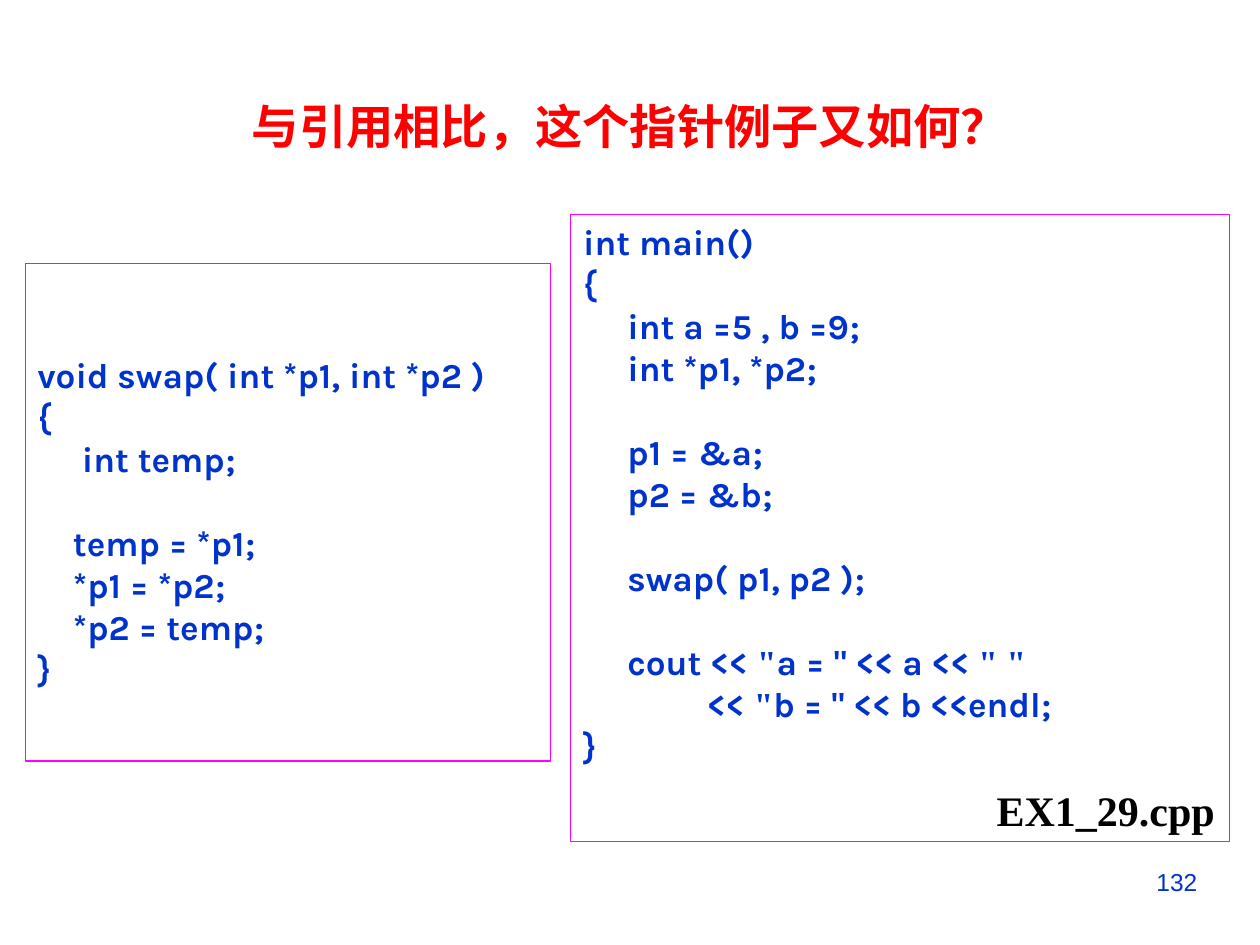
from lxml import etree
from pptx import Presentation
from pptx.dml.color import RGBColor
from pptx.enum import shapes, text
from pptx.oxml.ns import qn
from pptx.util import Inches, Pt

CODE_SIZE = 20
LINE_HEIGHT = 24
CODE_FONT = "Karla"
QUOTE_FONT = "Times New Roman"
BLUE = "0033CC"

# A None entry is an empty line; a list is a line split at font changes,
# its odd parts being set in QUOTE_FONT.
SWAP_CODE = [
    "void swap( int *p1, int *p2 )",
    "{",
    "     int temp;",
    None,
    "    temp = *p1;",
    "    *p1 = *p2;",
    "    *p2 = temp;",
    "}",
]
MAIN_CODE = [
    "int main()",
    "{",
    "     int a =5 , b =9;",
    "     int *p1, *p2;",
    None,
    "     p1 = &a;",
    "     p2 = &b;",
    None,
    "     swap( p1, p2 );",
    None,
    ["     cout << ", '"', 'a = " << a << ', '" "'],
    ["              << ", '"', 'b = " << b <<endl;'],
    "}",
]


def color(hex_value):
    return RGBColor.from_string(hex_value)


def style(paragraph, size, name, hex_value, bold=False):
    font = paragraph.font
    font.size, font.name, font.bold = Pt(size), name, bold
    font.color.rgb = color(hex_value)
    # East Asian glyphs take their typeface from a separate element
    defaults = paragraph._p.pPr.find(qn("a:defRPr"))
    etree.SubElement(defaults, qn("a:ea")).set("typeface", name)


def add_label(slide, box, wording, size, name, hex_value, bold=False,
              align=text.PP_ALIGN.LEFT, wrap=True):
    frame = slide.shapes.add_textbox(*map(Inches, box)).text_frame
    frame.word_wrap = wrap
    frame.vertical_anchor = text.MSO_ANCHOR.MIDDLE
    paragraph = frame.paragraphs[0]
    paragraph.text = wording
    paragraph.alignment = align
    style(paragraph, size, name, hex_value, bold)


def add_code_box(slide, box, lines, top_inset=0.05):
    panel = slide.shapes.add_shape(shapes.MSO_SHAPE.RECTANGLE, *map(Inches, box))
    panel.shadow.inherit = False
    panel.fill.background()
    panel.line.color.rgb = color("FF00FF")
    panel.line.width = Pt(0.75)
    frame = panel.text_frame
    frame.word_wrap = True
    frame.vertical_anchor = text.MSO_ANCHOR.TOP
    frame.margin_top = Inches(top_inset)

    gap = 0
    for number, line in enumerate(lines):
        if line is None:
            gap += LINE_HEIGHT
            continue
        paragraph = frame.add_paragraph() if number else frame.paragraphs[0]
        paragraph.alignment = text.PP_ALIGN.LEFT
        paragraph.space_before = Pt(gap)
        gap = 0
        style(paragraph, CODE_SIZE, CODE_FONT, BLUE, bold=True)
        parts = [line] if isinstance(line, str) else line
        for index, part in enumerate(parts):
            run = paragraph.add_run()
            run.text = part
            if index % 2:
                run.font.name = QUOTE_FONT


def main():
    prs = Presentation()
    prs.slide_width, prs.slide_height = Inches(10), Inches(7.5)
    slide = prs.slides.add_slide(prs.slide_layouts[6])

    # Title
    add_label(slide, (0.33, 0.72, 9.34, 0.56), "与引用相比，这个指针例子又如何？",
              27, "Noto Sans CJK SC", "FF0000", True, text.PP_ALIGN.CENTER)

    # Code: the function starts two lines down in its box
    add_code_box(slide, (0.2, 2.09, 4.17, 3.95), SWAP_CODE,
                 top_inset=0.05 + 2 * LINE_HEIGHT / 72)
    add_code_box(slide, (4.53, 1.7, 5.23, 4.98), MAIN_CODE)

    # Page number and file name
    add_label(slide, (9.08, 6.83, 0.54, 0.34), "132", 14, "Arial", BLUE)
    add_label(slide, (7.8, 6.18, 1.95, 0.5), "EX1_29.cpp", 24, "Times New Roman",
              "000000", True, text.PP_ALIGN.CENTER, wrap=False)

    prs.save("out.pptx")


if __name__ == "__main__":
    main()
